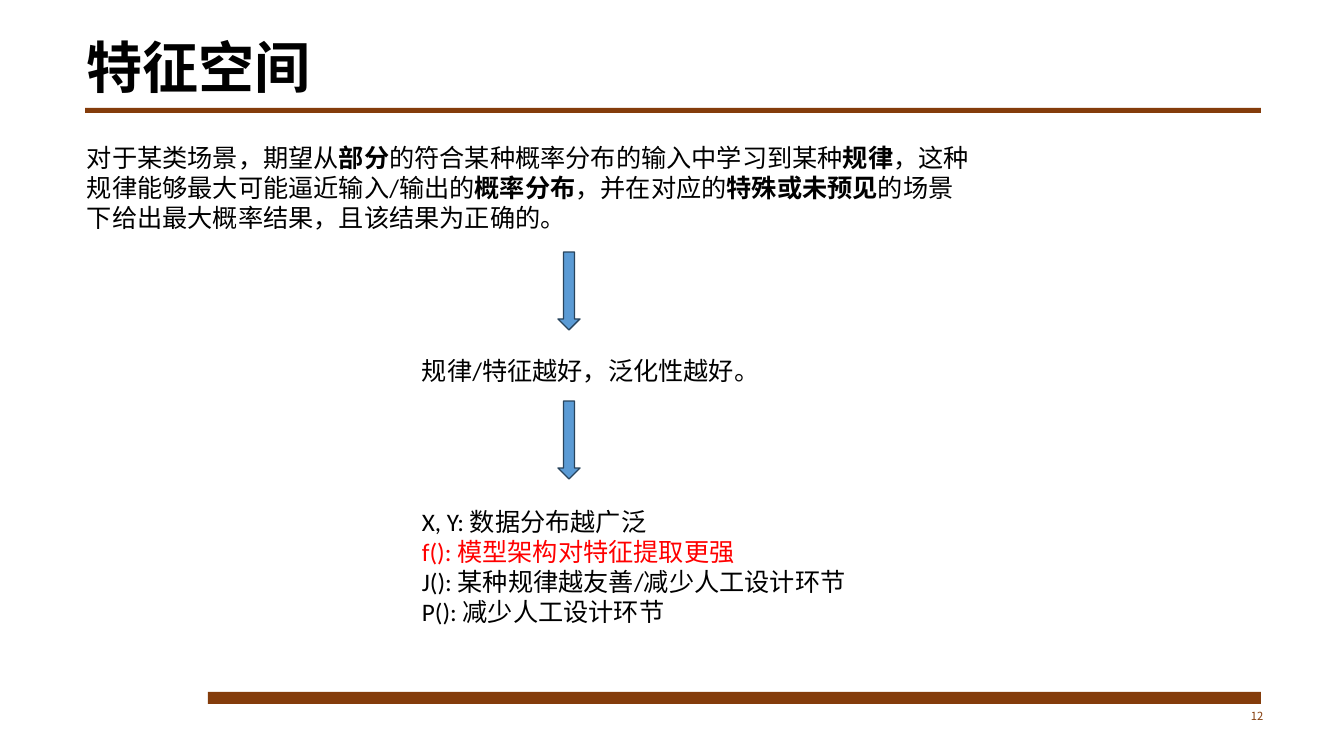
from lxml.etree import SubElement
from pptx import Presentation
from pptx.dml.color import RGBColor
from pptx.enum.shapes import MSO_SHAPE
from pptx.enum.text import MSO_ANCHOR, MSO_AUTO_SIZE
from pptx.oxml.ns import qn
from pptx.util import Emu, Pt

CHINESE_FONT = "Noto Sans CJK SC"


def px(length):
    """Turn a whole number of px into EMU."""
    return Emu(round(length * 914400 / 100.8))


def rgb(value):
    """Turn a hex string into a colour."""
    return RGBColor.from_string(value)


def write(paragraph, text, size=18, font="Calibri", color="000000", bold=False):
    """Add one formatted run to a paragraph."""
    run = paragraph.add_run()
    run.text = text
    run.font.size = Pt(size)
    run.font.bold = bold
    run.font.color.rgb = rgb(color)
    run.font.name = font
    SubElement(run.font._element, qn("a:ea"), typeface=CHINESE_FONT)


class SlideBuilder:
    """Hold the style and the current slide."""

    brown = "843C0B"
    arrow_fill = "5B9BD5"
    arrow_line = "28445D"

    def __init__(self, presentation):
        """Add a blank slide."""
        self.slide = presentation.slides.add_slide(presentation.slide_layouts[6])

    def shape(self, kind, box, fill):
        """Add a filled preset shape without a line."""
        shape = self.slide.shapes.add_shape(kind, *map(px, box))
        shape.shadow.inherit = False
        shape.fill.solid()
        shape.fill.fore_color.rgb = rgb(fill)
        shape.line.fill.background()
        return shape

    def bar(self, *box):
        """Add a brown bar."""
        self.shape(MSO_SHAPE.RECTANGLE, box, self.brown)

    def down_arrow(self, center_x, center_y, length=78, width=22):
        """Add a downward arrow around its centre."""
        box = (center_x - length // 2, center_y - width // 2, length, width)
        arrow = self.shape(MSO_SHAPE.RIGHT_ARROW, box, self.arrow_fill)
        arrow.rotation = 90
        arrow.line.color.rgb = rgb(self.arrow_line)
        arrow.line.width = Pt(1)

    def text(self, box, paragraphs, grow=True, wrap=True, inset=True,
             anchor=MSO_ANCHOR.TOP, spacing=None, **style):
        """Add a text box from paragraphs of (text, format) runs."""
        frame = self.slide.shapes.add_textbox(*map(px, box)).text_frame
        frame.word_wrap = wrap
        frame.vertical_anchor = anchor
        frame.auto_size = MSO_AUTO_SIZE.SHAPE_TO_FIT_TEXT if grow else MSO_AUTO_SIZE.NONE
        if not inset:
            frame.margin_left = frame.margin_right = 0
            frame.margin_top = frame.margin_bottom = 0
        for index, runs in enumerate(paragraphs):
            paragraph = frame.add_paragraph() if index else frame.paragraphs[0]
            paragraph.line_spacing = spacing
            for text, extra in runs:
                write(paragraph, text, **{**style, **extra})


def main():
    """Build and save the feature space slide."""
    presentation = Presentation()
    presentation.slide_width, presentation.slide_height = px(1344), px(756)
    builder = SlideBuilder(presentation)

    builder.bar(85, 108, 1176, 5)
    builder.bar(208, 692, 1053, 12)
    builder.text((1251, 708, 44, 27), [[("12", {})]], grow=False, wrap=False, inset=False,
                 spacing=1.11, size=8, font=CHINESE_FONT, color=builder.brown)
    builder.text((77, 26, 1008, 80), [[("特征空间", {})]], grow=False,
                 anchor=MSO_ANCHOR.BOTTOM, spacing=0.9, size=40, font=CHINESE_FONT, bold=True)

    pieces = ("对于某类场景，期望从", "部分", "的符合某种概率分布的输入中学习到某种", "规律",
              "，这种规律能够最大可能逼近输入/输出的", "概率分布", "，并在对应的",
              "特殊或未预见", "的场景下给出最大概率结果，且该结果为正确的。")
    definition = [(piece, {"bold": index % 2 == 1}) for index, piece in enumerate(pieces)]
    builder.text((77, 137, 910, 102), [definition])

    for center_y in (291, 440):
        builder.down_arrow(569, center_y)
    builder.text((412, 350, 336, 40), [[("规律/特征越好，泛化性越好。", {})]])
    builder.text((412, 501, 478, 132), [
        [("X, Y: 数据分布越广泛", {})],
        [("f(): 模型架构对特征提取更强", {"color": "FF0000"})],
        [("J(): 某种规律越友善/减少人工设计环节", {})],
        [("P(): 减少人工设计环节", {})],
    ])
    presentation.save("out.pptx")


if __name__ == "__main__":
    main()
